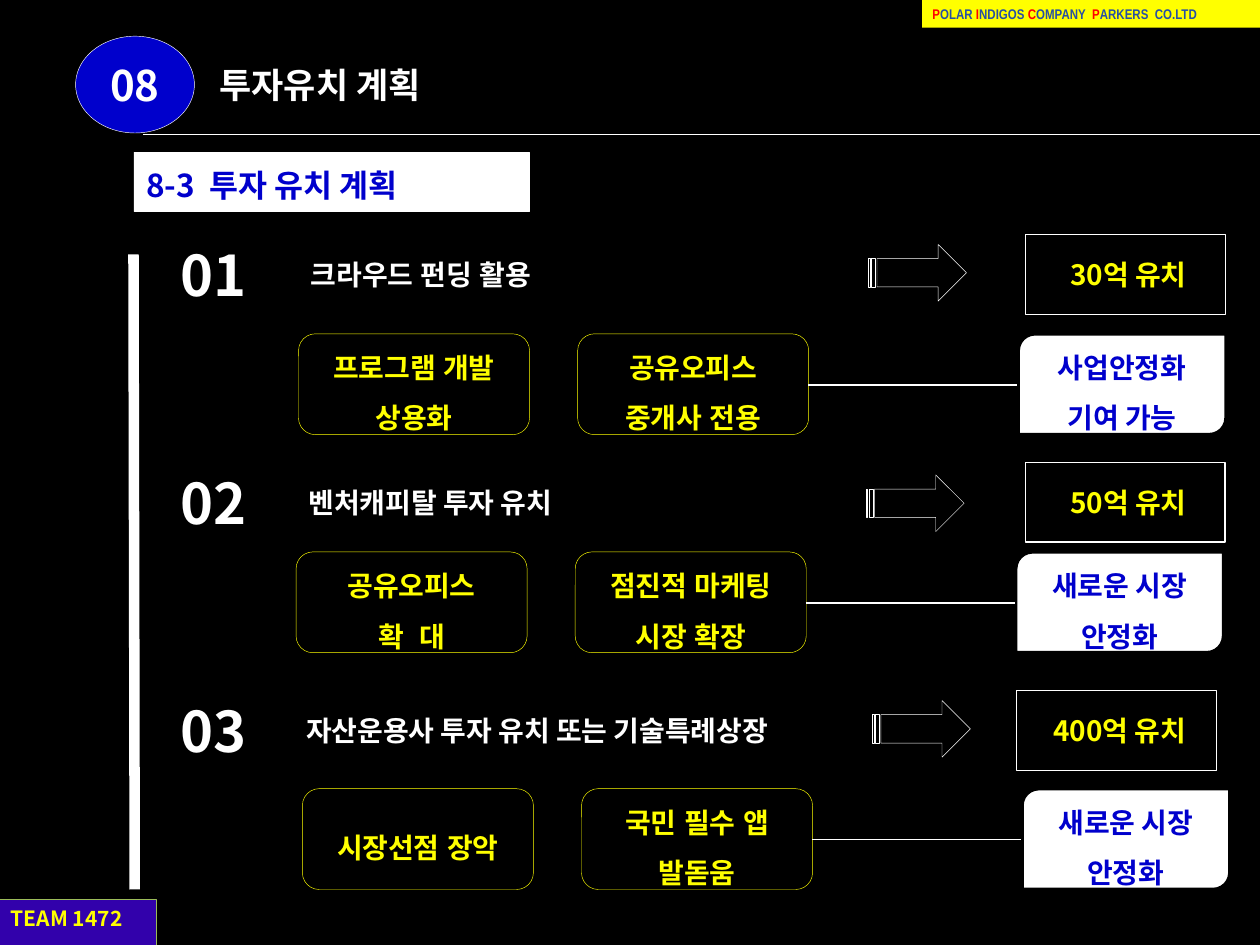
from collections import namedtuple

from lxml.etree import SubElement
from pptx import Presentation
from pptx.dml.color import RGBColor
from pptx.enum.shapes import MSO_CONNECTOR, MSO_SHAPE as Preset
from pptx.enum.text import MSO_ANCHOR as Anchor, PP_ALIGN as Align
from pptx.oxml.ns import qn
from pptx.util import Pt

BLACK, WHITE, YELLOW, BLUE = "000000", "FFFFFF", "FFFF00", "0000CC"
RED, NAVY = "FF0000", "274FA4"
NOTO, ARIAL, NARROW = "Noto Sans CJK KR", "Arial", "Arial Narrow"

Plan = namedtuple(
    "Plan",
    "heading heading_left heading_width heading_font amount amount_left amount_line "
    "arrow_top steps_left steps_top steps outcome",
)

PLANS = [
    Plan("크라우드 펀딩 활용", 170.6, 189, ARIAL, " 30억 유치", 586, 0.25,
         139.7, 170.6, 190.8, (["프로그램 개발", "상용화"], ["공유오피스", "중개사 전용"]),
         ["사업안정화", "기여 가능"]),
    Plan("벤처캐피탈 투자 유치", 169.2, 201, NOTO, " 50억 유치", 586, 1,
         271.4, 169.2, 315.4, (["공유오피스", "확  대"], ["점진적 마케팅", "시장 확장"]),
         ["새로운 시장", "안정화"]),
    Plan("자산운용사 투자 유치 또는 기술특례상장", 167.8, 356, NOTO, " 400억 유치", 581, 0.25,
         400.3, 172.8, 450.7, (["시장선점 장악"], ["국민 필수 앱", "발돋움"]),
         ["새로운 시장", "안정화"]),
]

COMPANY = [("P", "OLAR "), ("I", "NDIGOS "), ("C", "OMPANY  "), ("P", "ARKERS  CO.LTD")]


def rgb(value):
    """Turn a hex string into a colour."""
    return RGBColor.from_string(value)


def add_box(slide, preset, frame, fill, line=None, line_width=0.25):
    """Add a flat preset shape; frame is left, top, width, height in points."""
    box = slide.shapes.add_shape(preset, *map(Pt, frame))
    box.shadow.inherit = False
    box.fill.solid()
    box.fill.fore_color.rgb = rgb(fill)
    if line:
        box.line.color.rgb = rgb(line)
        box.line.width = Pt(line_width)
    else:
        box.line.fill.background()
    return box


def style(paragraph, size, font, color, align=Align.LEFT, spacing=None, before=0):
    """Set the bold font of a paragraph, Korean letters included, and its spacing."""
    paragraph.alignment = align
    paragraph.space_before = Pt(before)
    if spacing:
        paragraph.line_spacing = spacing
    paragraph.font.size = Pt(size)
    paragraph.font.bold = True
    paragraph.font.color.rgb = rgb(color)
    paragraph.font.name = font
    defaults = paragraph._p.get_or_add_pPr().find(qn("a:defRPr"))
    SubElement(defaults, qn("a:ea")).set("typeface", font)


def write(box, lines, size, font, color, anchor=Anchor.TOP, **layout):
    """Write one paragraph per line into a shape."""
    frame = box.text_frame
    frame.word_wrap = True
    frame.vertical_anchor = anchor
    frame.text = "\n".join(lines)
    for paragraph in frame.paragraphs:
        style(paragraph, size, font, color, **layout)


def add_line(slide, start, end, width=0.75):
    """Add a straight white line between two points."""
    line = slide.shapes.add_connector(MSO_CONNECTOR.STRAIGHT, *map(Pt, start + end))
    line.line.color.rgb = rgb(WHITE)
    line.line.width = Pt(width)
    SubElement(line._element.spPr, qn("a:effectLst"))


def add_title(slide):
    """Add the chapter number, title, rule and section label."""
    title = add_box(slide, Preset.ROUNDED_RECTANGLE, (116.6, 31.7, 203, 33.8), BLACK, BLACK)
    write(title, ["투자유치 계획"], 20, NOTO, WHITE, Anchor.MIDDLE)
    chapter = add_box(slide, Preset.OVAL, (43.2, 20.7, 67.9, 55.3), BLUE, WHITE)
    write(chapter, ["08"], 24, NOTO, WHITE, Anchor.MIDDLE, align=Align.CENTER)
    add_line(slide, (82, 77), (726, 77))
    section = add_box(slide, Preset.RECTANGLE, (76.5, 87, 226, 34), WHITE, WHITE)
    write(section, ["8-3  투자 유치 계획"], 18, NOTO, BLUE, spacing=1.2, before=3.6)
    add_line(slide, (76.3, 145.4), (77, 508.3), 6)


def add_plan(slide, index, plan):
    """Add one numbered plan: its heading, amount, steps and outcome."""
    top, height = 134 + 130.3 * index, 45.4
    heading = add_box(slide, Preset.RECTANGLE,
                      (plan.heading_left, top, plan.heading_width, height), BLACK, BLACK, 1)
    write(heading, [plan.heading], 16, plan.heading_font, WHITE, spacing=1.5, before=3.2)
    number = add_box(slide, Preset.RECTANGLE, (93.6, top, 57, height), BLACK, BLACK, 1)
    write(number, [f"{index + 1:02}"], 32, NOTO, WHITE, align=Align.CENTER, before=6.4)
    add_box(slide, Preset.STRIPED_RIGHT_ARROW,
            (plan.steps_left + 325.5, plan.arrow_top, 56.2, 32.4), BLACK, WHITE)
    amount = add_box(slide, Preset.RECTANGLE, (plan.amount_left, top, 114, height),
                     BLACK, WHITE, plan.amount_line)
    write(amount, [plan.amount], 16, NOTO, YELLOW,
          align=Align.CENTER, spacing=1.5, before=3.2)

    for column, lines in enumerate(plan.steps):
        step = add_box(slide, Preset.ROUNDED_RECTANGLE,
                       (plan.steps_left + 159.5 * column, plan.steps_top, 132, 57.6),
                       BLACK, YELLOW)
        write(step, lines, 16, ARIAL, YELLOW, Anchor.MIDDLE, align=Align.CENTER, spacing=1.5)
    outcome = add_box(slide, Preset.ROUND_2_DIAG_RECTANGLE,
                      (plan.steps_left + 411.2, plan.steps_top, 118.8, 57.6),
                      WHITE, BLACK, 2)
    write(outcome, plan.outcome, 16, NOTO, BLUE, Anchor.MIDDLE,
          align=Align.CENTER, spacing=1.5)
    link_left, link_top = plan.steps_left + 291.3, plan.steps_top + 29.2
    add_line(slide, (link_left, link_top), (link_left + 119.5, link_top))


def add_company(slide):
    """Add the company strip with a red initial on each word."""
    strip = add_box(slide, Preset.RECTANGLE, (527, 0, 195.8, 15.8), YELLOW)
    frame = strip.text_frame
    frame.word_wrap = True
    frame.vertical_anchor = Anchor.TOP
    frame.margin_left = frame.margin_right = Pt(5.8)
    frame.margin_top = frame.margin_bottom = Pt(2.9)
    name = frame.paragraphs[0]
    style(name, 8, NARROW, NAVY, before=8.1)
    for initial, rest in COMPANY:
        for text, color in ((initial, RED), (rest, NAVY)):
            run = name.add_run()
            run.text = text
            run.font.color.rgb = rgb(color)


def add_footer(slide):
    """Add the team label in the lower corner."""
    team = add_box(slide, Preset.RECTANGLE, (-3.6, 514, 93, 26), "3201AB", "9BBB59")
    write(team, [" TEAM 1472"], 12, NOTO, YELLOW, before=2.4)


def main():
    """Build the slide and save it."""
    deck = Presentation()
    deck.slide_width, deck.slide_height = Pt(720), Pt(540)
    slide = deck.slides.add_slide(deck.slide_layouts[6])
    add_box(slide, Preset.RECTANGLE, (-3, 0, 728, 540.7), BLACK)
    add_title(slide)
    for index, plan in enumerate(PLANS):
        add_plan(slide, index, plan)
    add_company(slide)
    add_footer(slide)
    deck.save("out.pptx")


if __name__ == "__main__":
    main()
